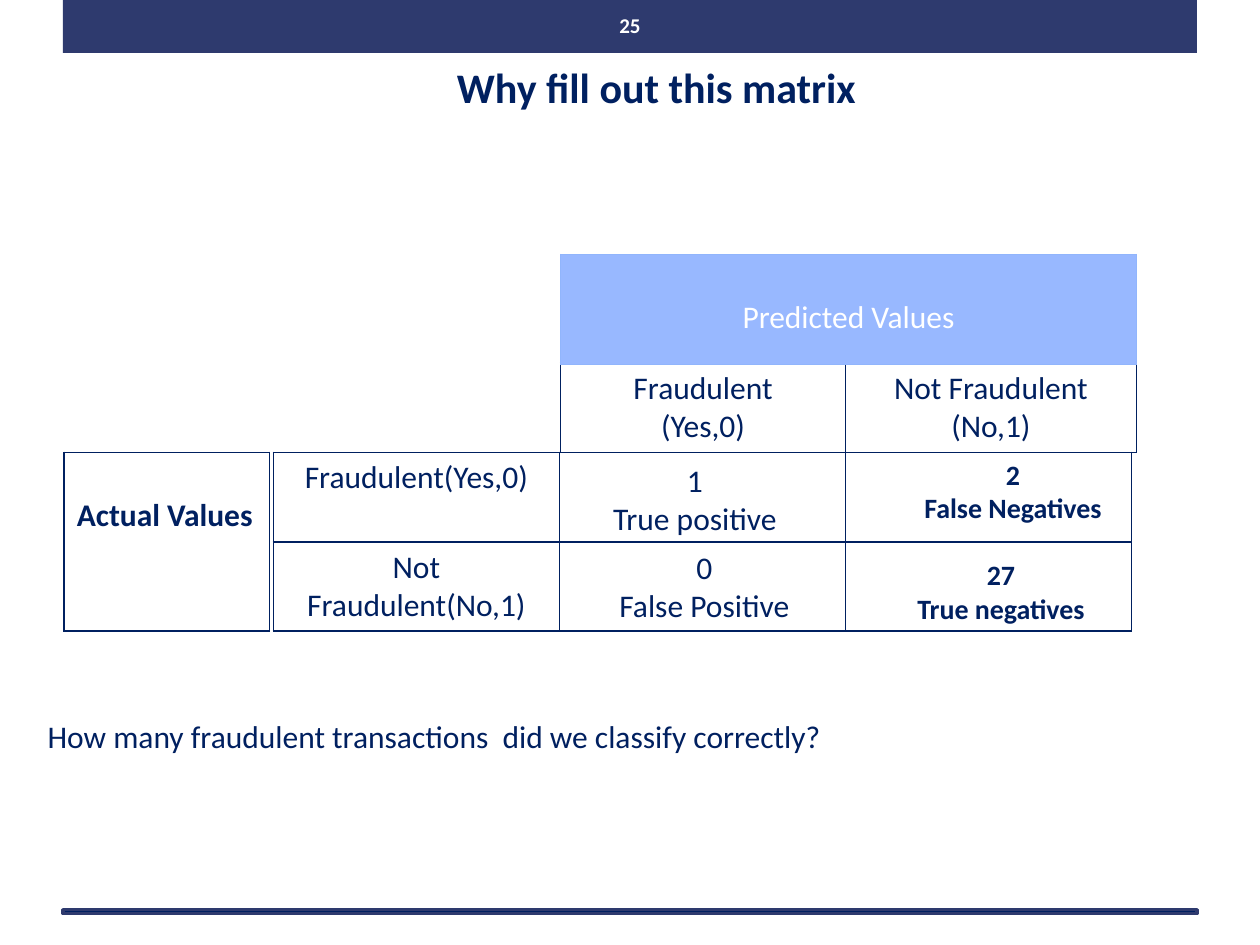
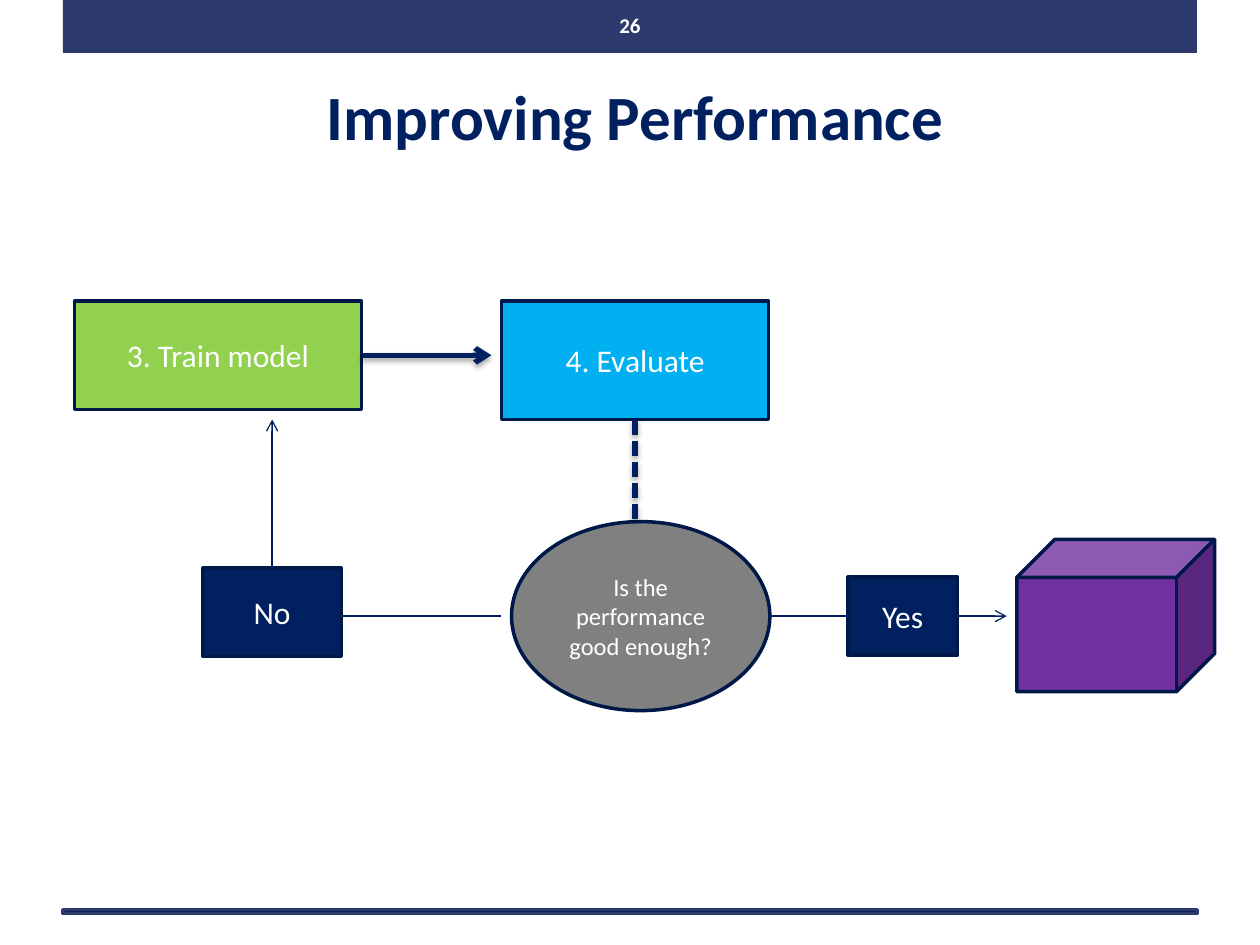
from dataclasses import dataclass
from lxml import etree
from pptx import Presentation
from pptx.dml.color import RGBColor
from pptx.enum.dml import MSO_LINE
from pptx.enum.shapes import MSO_CONNECTOR, MSO_SHAPE
from pptx.enum.text import MSO_ANCHOR, MSO_AUTO_SIZE, PP_ALIGN
from pptx.oxml import parse_xml
from pptx.oxml.ns import nsdecls, qn
from pptx.util import Inches, Pt

LEFT, CENTER = PP_ALIGN.LEFT, PP_ALIGN.CENTER
TOP, MIDDLE = MSO_ANCHOR.TOP, MSO_ANCHOR.MIDDLE
RECT, OVAL, CUBE = MSO_SHAPE.RECTANGLE, MSO_SHAPE.OVAL, MSO_SHAPE.CUBE
STRAIGHT, DASHED = MSO_CONNECTOR.STRAIGHT, MSO_LINE.SQUARE_DOT


@dataclass(frozen=True)
class Theme:
    font: str = "Calibri"
    navy: str = "002060"
    band: str = "2E3A6E"
    outline: str = "001847"
    thin_line: str = "001F5E"
    header: str = "98B8FF"
    header_line: str = "91B5FC"
    green: str = "92D050"
    blue: str = "00B0F0"
    grey: str = "808080"
    purple: str = "7030A0"
    white: str = "FFFFFF"
    number: int = 12
    small: int = 14
    count: int = 16
    body: int = 18


theme = Theme()


def write(tf, text, size=theme.body, color=theme.navy, bold=False, align=CENTER, anchor=TOP):
    tf.word_wrap = True
    tf.vertical_anchor = anchor
    for i, line in enumerate(text.split("\n")):
        p = tf.paragraphs[0] if i == 0 else tf.add_paragraph()
        p.alignment = align
        r = p.add_run()
        r.text = line
        r.font.name = theme.font
        r.font.size = Pt(size)
        r.font.bold = bold
        r.font.color.rgb = RGBColor.from_string(color)


def add_box(s, kind, at, fill, line=None, width=2):
    sp = s.shapes.add_shape(kind, *map(Inches, at))
    sp.shadow.inherit = False
    sp.fill.solid()
    sp.fill.fore_color.rgb = RGBColor.from_string(fill)
    if line:
        sp.line.color.rgb = RGBColor.from_string(line)
        sp.line.width = Pt(width)
    else:
        sp.line.fill.background()
    return sp


prs = Presentation()
prs.slide_width, prs.slide_height = Inches(10), Inches(7.5)

slides = []
for number, title, size, at, anchor in [
    ("25", "Why fill out this matrix", 24, (0.72, 0.44, 8.98, 0.5), TOP),
    ("26", "Improving Performance", 36, (0.54, 0.29, 9, 1.25), MIDDLE),
]:
    s = prs.slides.add_slide(prs.slide_layouts[5])
    add_box(s, RECT, (0.5, 0, 9, 0.42), theme.band)
    add_box(s, RECT, (0.5, 7.22, 9, 0.03), theme.navy, theme.band)
    sp = s.shapes.title
    sp.left, sp.top, sp.width, sp.height = map(Inches, at)
    sp.text_frame.auto_size = MSO_AUTO_SIZE.NONE
    write(sp.text_frame, title, size=size, bold=True, anchor=anchor)
    sp = s.shapes.add_textbox(*map(Inches, (4.8, 0, 0.4, 0.4)))
    write(sp.text_frame, number, size=theme.number, color=theme.white, bold=True, anchor=MIDDLE)
    slides.append(s)

matrix, flow = slides

sp = matrix.shapes.add_textbox(*map(Inches, (0.28, 5.64, 9.37, 0.4)))
write(sp.text_frame, "How many fraudulent transactions  did we classify correctly?", align=LEFT)

plain = {}
for left, top, cols, row_height, rows, border, fill, margin_top, style in [
    (2.17, 3.59, [2.27] * 3, 0.71,
     [["Fraudulent(Yes,0)", "", ""], ["Not Fraudulent(No,1)", "", ""]],
     (theme.navy, 1), None, 0.05, plain),
    (0.51, 3.59, [1.63], 1.42, [["Actual Values"]],
     (theme.navy, 1), None, 0.35, {"bold": True, "align": LEFT}),
    (4.45, 2.88, [2.26, 2.31], 0.71,
     [["Fraudulent\n(Yes,0)", "Not Fraudulent\n(No,1)"]],
     (theme.navy, 1), None, 0.05, plain),
    (4.45, 2.02, [4.57], 0.87, [["Predicted Values"]],
     (theme.header_line, 0.75), theme.header, 0.35, {"color": theme.white}),
]:
    frame = matrix.shapes.add_table(
        len(rows), len(cols), Inches(left), Inches(top),
        Inches(sum(cols)), Inches(row_height * len(rows)))
    table = frame.table
    table.first_row = table.horz_banding = False
    for column, width in zip(table.columns, cols):
        column.width = Inches(width)
    for i, texts in enumerate(rows):
        table.rows[i].height = Inches(row_height)
        for j, text in enumerate(texts):
            cell = table.cell(i, j)
            cell.margin_top = Inches(margin_top)
            tcPr = cell._tc.get_or_add_tcPr()
            color, weight = border
            for side in ("lnL", "lnR", "lnT", "lnB"):
                tcPr.append(parse_xml(
                    f'<a:{side} {nsdecls("a")} w="{Pt(weight)}"><a:solidFill>'
                    f'<a:srgbClr val="{color}"/></a:solidFill></a:{side}>'))
            if fill:
                cell.fill.solid()
                cell.fill.fore_color.rgb = RGBColor.from_string(fill)
            else:
                cell.fill.background()
            if text:
                write(cell.text_frame, text, **style)

strong = {"size": theme.count, "bold": True}
for at, text, style in [
    ((4.45, 3.61, 2.13, 1.01), "1\nTrue positive", plain),
    ((4.29, 4.3, 2.6, 1.01), "0\nFalse Positive", plain),
    ((7.2, 3.58, 1.68, 0.91), "2\nFalse Negatives", strong),
    ((7.08, 4.38, 1.73, 0.94), "27\nTrue negatives", strong),
]:
    sp = matrix.shapes.add_textbox(*map(Inches, at))
    write(sp.text_frame, text, **style)

steps = {}
for name, kind, at, fill, text, size in [
    ("train", RECT, (0.59, 2.39, 2.28, 0.86), theme.green, "3. Train model", theme.body),
    ("evaluate", RECT, (3.98, 2.39, 2.12, 0.94), theme.blue, "4. Evaluate", theme.body),
    ("check", OVAL, (4.06, 4.14, 2.05, 1.5), theme.grey,
     "Is the performance good enough?", theme.small),
    ("yes", RECT, (6.73, 4.58, 0.87, 0.62), theme.navy, "Yes", theme.body),
    ("result", CUBE, (8.07, 4.28, 1.57, 1.21), theme.purple, "", theme.body),
    ("no", RECT, (1.61, 4.51, 1.1, 0.7), theme.navy, "No", theme.body),
]:
    sp = add_box(flow, kind, at, fill, theme.outline)
    if text:
        write(sp.text_frame, text, size=size, color=theme.white, anchor=MIDDLE)
    steps[name] = sp

for start, end, begin_at, end_at, heavy, dashed, arrow in [
    ((2.87, 2.82), (3.9, 2.82), ("train", 3), None, True, False, True),
    ((5.04, 3.33), (5.04, 4.12), ("evaluate", 2), None, True, True, False),
    ((6.11, 4.89), (6.73, 4.89), None, ("yes", 1), False, False, False),
    ((7.6, 4.89), (7.99, 4.89), ("yes", 3), None, False, False, True),
    ((3.98, 4.89), (2.71, 4.89), None, None, False, False, False),
    ((2.16, 4.51), (2.16, 3.33), ("no", 0), None, False, False, True),
]:
    c = flow.shapes.add_connector(STRAIGHT, *map(Inches, start + end))
    if begin_at:
        c.begin_connect(steps[begin_at[0]], begin_at[1])
    if end_at:
        c.end_connect(steps[end_at[0]], end_at[1])
    c.line.color.rgb = RGBColor.from_string(theme.navy if heavy else theme.thin_line)
    c.line.width = Pt(3 if heavy else 0.75)
    if dashed:
        c.line.dash_style = DASHED
    spPr = c._element.spPr
    if arrow:
        etree.SubElement(spPr.find(qn("a:ln")), qn("a:tailEnd"), type="arrow")
    effects = etree.SubElement(spPr, qn("a:effectLst"))
    if heavy:
        effects.append(parse_xml(
            f'<a:outerShdw {nsdecls("a")} blurRad="{Pt(3.1)}" dist="{Pt(1.8)}" dir="5400000" '
            'rotWithShape="0"><a:srgbClr val="000000"><a:alpha val="35000"/></a:srgbClr>'
            '</a:outerShdw>'))

prs.save("out.pptx")
